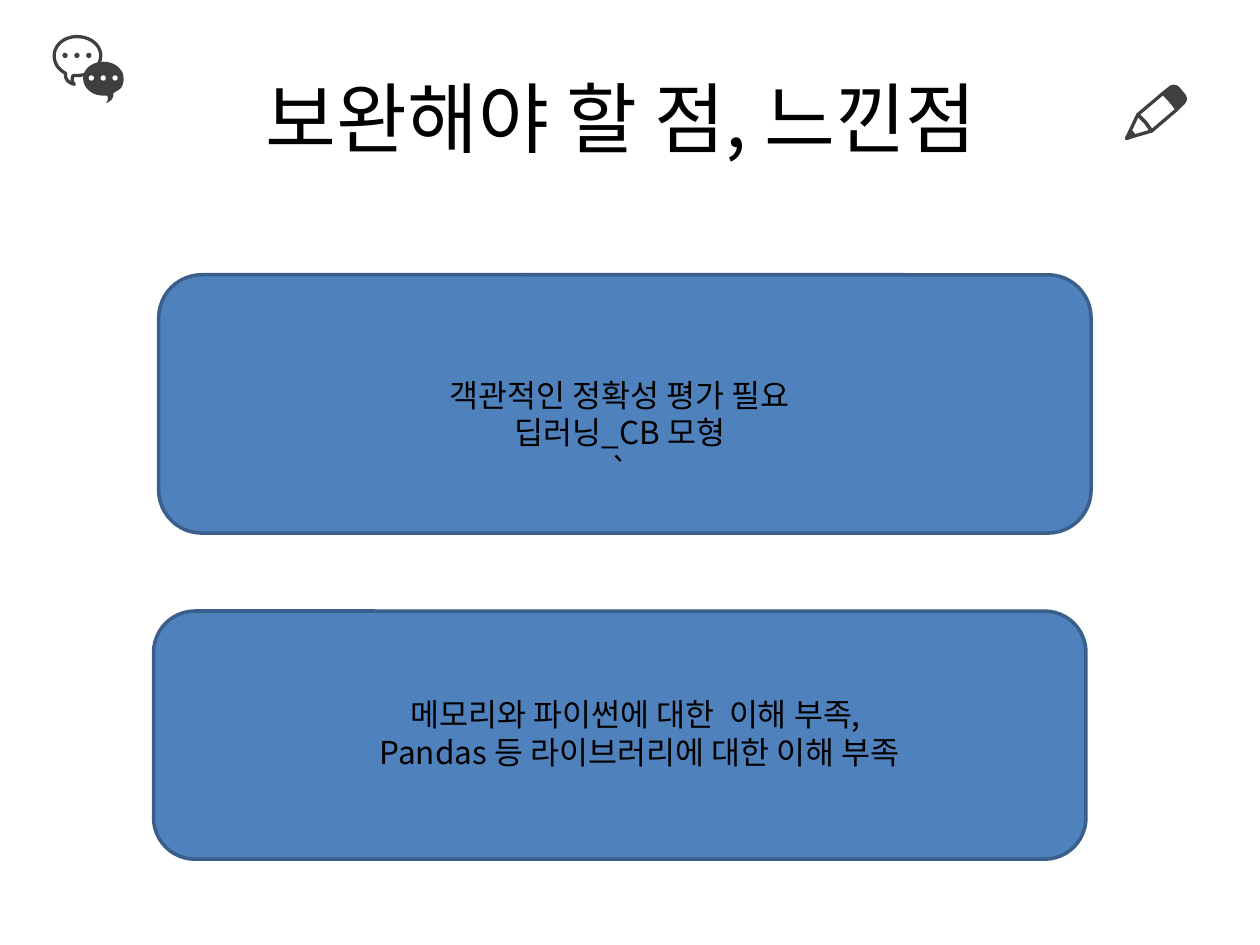
from pptx import Presentation
from pptx.dml.color import RGBColor
from pptx.enum import shapes, text
from pptx.util import Pt

FONT = "Noto Sans CJK KR"
BLACK = RGBColor(0x00, 0x00, 0x00)
WHITE = RGBColor(0xFF, 0xFF, 0xFF)
GRAPHITE = RGBColor(0x3F, 0x3F, 0x3F)
PANEL_BLUE = RGBColor(0x4F, 0x81, 0xBD)
PANEL_EDGE = RGBColor(0x3A, 0x5F, 0x8C)
LINE_PITCH = 21.6
CURVE_STEPS = 10

SPEECH_OUTLINE = [
    (43.9, 20.9),
    (36.7, 20.9, 31, 25.9, 31, 31.7),
    (31, 36, 33.1, 39.6, 37.4, 41.8),
    (37.4, 43.9, 37.4, 46.8, 42.5, 48.2),
    (42.5, 48.2, 40.3, 46.1, 41.8, 43.2),
    (43.9, 43.2),
    (51.8, 43.2, 57.6, 38.2, 57.6, 31.7),
    (57.6, 25.9, 51.8, 20.9, 43.9, 20.9),
]
REPLY_OUTLINE = [
    (70.6, 44.6),
    (70.6, 39.6, 65.5, 35.3, 59, 35.3),
    (52.6, 35.3, 47.5, 39.6, 47.5, 44.6),
    (47.5, 50.4, 52.6, 54.7, 59, 54.7),
    (61.2, 54.7),
    (62.6, 56.9, 60.5, 59, 60.5, 59),
    (64.8, 57.6, 64.8, 54.7, 64.8, 53.3),
    (67, 51.8, 69.1, 51.1, 69.8, 49),
    (70.6, 47.5, 70.6, 46.1, 70.6, 44.6),
]
PENCIL_END = [
    (672.5, 62.6), (676.1, 59),
    (677.5, 57.6, 677.5, 56.2, 676.8, 54.7),
    (673.2, 50.4),
    (671.8, 49, 669.6, 49, 668.2, 50.4),
    (664.6, 53.3),
    (667.5, 56.2, 670.3, 59, 672.5, 62.6),
]
PENCIL_BODY = [(654.5, 69.8), (658.1, 74.9), (672.5, 62.6),
               (670.3, 59, 667.5, 56.2, 664.6, 53.3), (650.2, 65.5)]
PENCIL_CONE = [(650.2, 65.5), (645.8, 74.9), (647.3, 76.3), (648, 77.8),
               (658.1, 74.9), (654.5, 69.8)]
PENCIL_TIP = [(647.3, 76.3), (645.8, 74.9), (643.7, 79.2), (648, 77.8)]


def trace(outline):
    """Turn corners and cubic curves into a list of points."""
    points = []
    for step in outline:
        if len(step) == 2:
            points.append(step)
            continue
        corners = [points[-1], step[:2], step[2:4], step[4:]]
        for i in range(1, CURVE_STEPS + 1):
            t = i / CURVE_STEPS
            weights = ((1 - t) ** 3, 3 * t * (1 - t) ** 2, 3 * t * t * (1 - t), t ** 3)
            points.append(tuple(sum(w * corner[axis] for w, corner in zip(weights, corners))
                                for axis in (0, 1)))
    return points


def paint(shape, fill=None, edge=None, width=1.88):
    """Give a shape a flat fill and edge, or none."""
    shape.shadow.inherit = False
    if fill is None:
        shape.fill.background()
    else:
        shape.fill.solid()
        shape.fill.fore_color.rgb = fill
    if edge is None:
        shape.line.fill.background()
    else:
        shape.line.color.rgb = edge
        shape.line.width = Pt(width)


def add_outline(icon, outline, fill=None, edge=None):
    """Draw a closed outline inside an icon group."""
    points = [(Pt(x), Pt(y)) for x, y in trace(outline)]
    builder = icon.shapes.build_freeform(*points[0], scale=1.0)
    builder.add_line_segments(points[1:], close=True)
    paint(builder.convert_to_shape(), fill, edge)


def add_dots(icon, center_x, center_y, color, size=3, gap=6.8):
    """Draw three evenly spaced dots around a center."""
    for offset in (-gap, 0, gap):
        dot = icon.shapes.add_shape(
            shapes.MSO_SHAPE.OVAL, Pt(center_x + offset - size / 2),
            Pt(center_y - size / 2), Pt(size), Pt(size))
        paint(dot, color)


def add_chat_icon(slide):
    """Draw the two speech bubbles."""
    icon = slide.shapes.add_group_shape()
    add_outline(icon, SPEECH_OUTLINE, edge=GRAPHITE)
    add_dots(icon, 44, 31.7, GRAPHITE)
    add_outline(icon, REPLY_OUTLINE, fill=GRAPHITE)
    add_dots(icon, 59, 44.6, WHITE)


def add_pencil_icon(slide):
    """Draw the pencil."""
    icon = slide.shapes.add_group_shape()
    for outline, fill in ((PENCIL_END, GRAPHITE), (PENCIL_BODY, None),
                          (PENCIL_CONE, None), (PENCIL_TIP, GRAPHITE)):
        add_outline(icon, outline, fill, GRAPHITE)


def format_paragraph(paragraph, size):
    """Center a paragraph and set its font."""
    paragraph.alignment = text.PP_ALIGN.CENTER
    for run in paragraph.runs:
        run.font.size = Pt(size)
        run.font.name = FONT
        run.font.color.rgb = BLACK
        east_asian = run.font._element.makeelement(
            "{http://schemas.openxmlformats.org/drawingml/2006/main}ea", {"typeface": FONT})
        run.font._element.append(east_asian)


def set_title(slide, wording):
    """Fill and place the title."""
    title = slide.shapes.title
    title.left, title.top, title.width, title.height = Pt(36), Pt(21.6), Pt(648), Pt(90)
    title.text_frame.text = wording
    title.text_frame.vertical_anchor = text.MSO_ANCHOR.MIDDLE
    format_paragraph(title.text_frame.paragraphs[0], 44)


def add_panel(slide, left, top, height):
    """Draw a rounded blue panel."""
    panel = slide.shapes.add_shape(shapes.MSO_SHAPE.ROUNDED_RECTANGLE,
                                   Pt(left), Pt(top), Pt(532.8), Pt(height))
    paint(panel, PANEL_BLUE, PANEL_EDGE, 2)


def add_remarks(slide, top, width, height, lead_lines, lines):
    """Write centered lines, starting some lines below the top."""
    frame = slide.shapes.add_textbox(Pt(121.7), Pt(top), Pt(width), Pt(height)).text_frame
    frame.word_wrap = True
    frame.margin_top = Pt(3.6 + lead_lines * LINE_PITCH)
    frame.text = "\n".join(lines)
    for paragraph in frame.paragraphs:
        paragraph.line_spacing = Pt(LINE_PITCH)
        format_paragraph(paragraph, 18)


def main():
    """Build the slide."""
    deck = Presentation()
    deck.slide_width, deck.slide_height = Pt(720), Pt(540)
    slide = deck.slides.add_slide(deck.slide_layouts[5])
    add_chat_icon(slide)
    add_pencil_icon(slide)
    set_title(slide, "보완해야 할 점, 느낀점 ")
    add_panel(slide, 90.7, 157, 147.6)
    add_remarks(slide, 167.8, 465.1, 116.6, 2,
                ["객관적인 정확성 평가 필요", "딥러닝_CB 모형", "`"])
    add_panel(slide, 87.8, 349.2, 141.8)
    add_remarks(slide, 372.2, 487.4, 72.7, 1,
                ["메모리와 파이썬에 대한  이해 부족, ", "Pandas 등 라이브러리에 대한 이해 부족"])
    deck.save("out.pptx")


if __name__ == "__main__":
    main()
